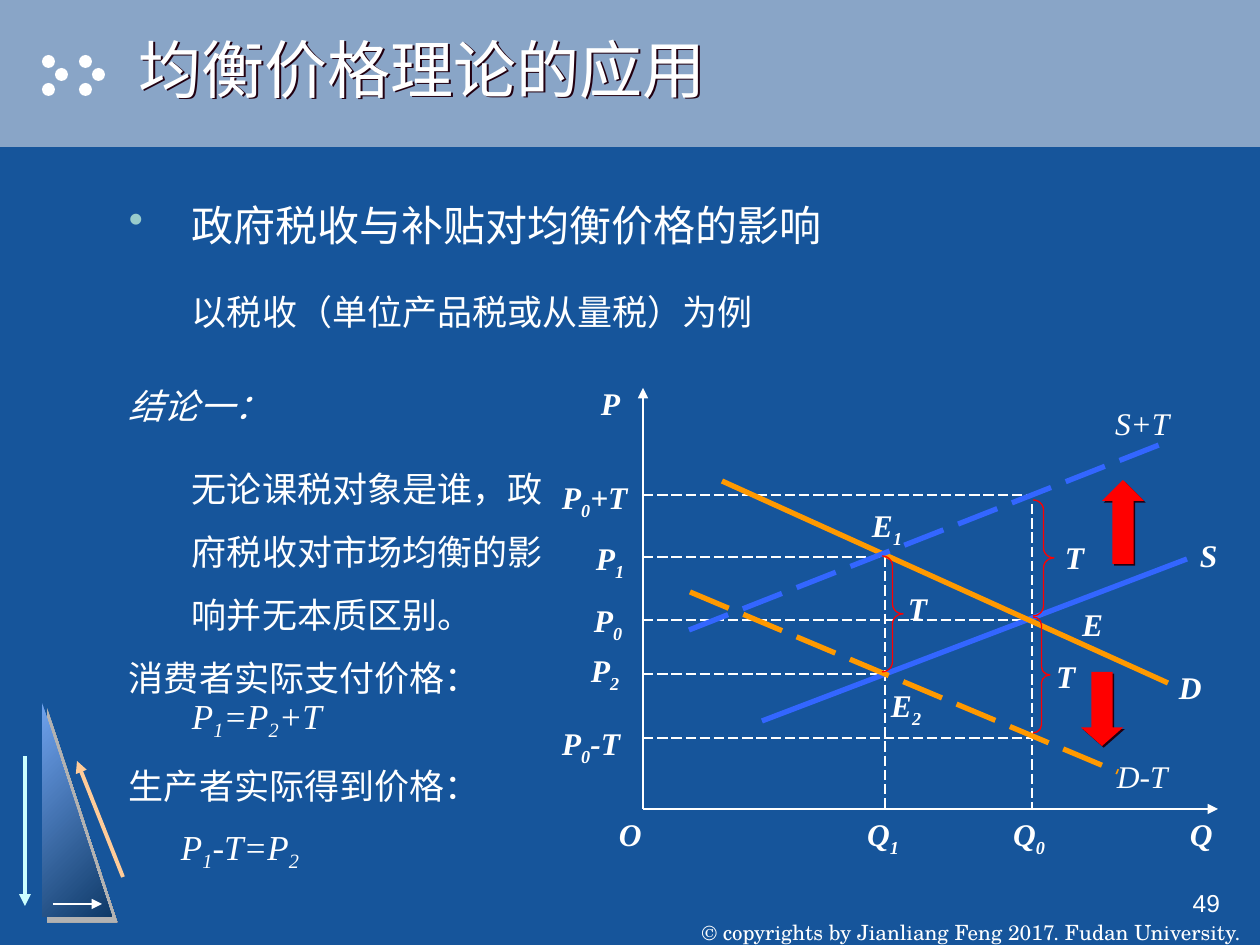
from dataclasses import dataclass
from lxml.etree import SubElement
from pptx import Presentation
from pptx.dml.color import RGBColor
from pptx.enum.dml import MSO_LINE
from pptx.enum.shapes import MSO_CONNECTOR, MSO_SHAPE
from pptx.enum.text import MSO_ANCHOR, PP_ALIGN
from pptx.oxml.ns import qn
from pptx.util import Emu, Pt


@dataclass(frozen=True)
class Theme:
    """Colours, fonts and type sizes of the slide."""
    back: str = "16559B"
    band: str = "89A5C7"
    white: str = "FFFFFF"
    dot: str = "99CCCC"
    blue: str = "3366FF"
    gold: str = "FF9900"
    red: str = "FF0000"
    dark: str = "220011"
    grey: str = "B2B2B2"
    mint: str = "CCFFFF"
    peach: str = "FFCC99"
    light: str = "6FA2ED"
    navy: str = "0F3A68"
    sans: str = "Arial"
    serif: str = "Times New Roman"
    school: str = "TeX Gyre Schola"
    han: str = "Noto Sans CJK SC"
    title: int = 36
    head: int = 24
    body: int = 20
    label: int = 18
    page: int = 14
    foot: int = 12


LOOK = Theme()


def px(num):
    """Turn pixels into EMU."""
    return Emu(round(num * 914400 / 126))


def rgb(code):
    """Turn a hex code into a colour."""
    return RGBColor.from_string(code)


def shade(item, color, dist):
    """Add a hard shadow to a shape."""
    props = item._element.spPr
    cast = SubElement(SubElement(props, qn("a:effectLst")), qn("a:outerShdw"),
                      dist=str(Pt(dist)), dir="2700000", algn="ctr", rotWithShape="0")
    SubElement(cast, qn("a:srgbClr"), val=color)


def shape(slide, kind, box, fill=None, line=None, cast=None, adjust=()):
    """Draw a preset shape."""
    item = slide.shapes.add_shape(kind, *map(px, box))
    for spot, value in enumerate(adjust):
        item.adjustments[spot] = value
    if isinstance(fill, tuple):
        item.fill.gradient()
        item.fill.gradient_angle = 315
        for stop, color in zip(item.fill.gradient_stops, fill):
            stop.color.rgb = rgb(color)
    elif fill:
        item.fill.solid()
        item.fill.fore_color.rgb = rgb(fill)
    else:
        item.fill.background()
    if line:
        item.line.color.rgb = rgb(line)
        item.line.width = Pt(0.75)
    else:
        item.line.fill.background()
    if cast:
        shade(item, *cast)
    else:
        item.shadow.inherit = False


def rule(slide, ends, color=LOOK.white, width=0.75, dash=False, arrow=False):
    """Draw a straight line, with an arrowhead at its end if asked."""
    item = slide.shapes.add_connector(MSO_CONNECTOR.STRAIGHT, *map(px, ends))
    item.line.color.rgb = rgb(color)
    item.line.width = Pt(width)
    if dash:
        item.line.dash_style = MSO_LINE.LONG_DASH
    if arrow:
        SubElement(item.line._get_or_add_ln(), qn("a:tailEnd"), type="triangle")
    SubElement(item._element.spPr, qn("a:effectLst"))


def frame(slide, box, wrap=True, anchor=MSO_ANCHOR.TOP, inset=6, right=13, cast=None):
    """Add an empty text box and return its frame."""
    item = slide.shapes.add_textbox(*map(px, box))
    if cast:
        shade(item, *cast)
    area = item.text_frame
    area.word_wrap = wrap
    area.vertical_anchor = anchor
    area.margin_left, area.margin_right = px(13), px(right)
    area.margin_top, area.margin_bottom = px(inset), px(min(inset, 6))
    return area


def write(area, words, size=LOOK.label, font=LOOK.serif, bold=False, slant=False,
          align=PP_ALIGN.LEFT, left=0, first=0, bullet=None, pitch=None):
    """Write a paragraph; a bar switches italics, an underscore lowers the next sign."""
    fresh = not area.paragraphs[0].runs
    para = area.paragraphs[0] if fresh else area.add_paragraph()
    props = para._p.get_or_add_pPr()
    props.set("marL", str(px(left)))
    props.set("indent", str(px(first)))
    if bullet:
        SubElement(SubElement(props, qn("a:buClr")), qn("a:srgbClr"), val=bullet)
        SubElement(props, qn("a:buChar"), char="•")
    para.alignment = align
    if pitch:
        para.line_spacing = px(pitch)
    if not fresh:
        para.space_before = px(20)
    for turn, part in enumerate(words.split("|")):
        plain, *rest = part.split("_")
        bits = [(plain, False)]
        for bit in rest:
            bits += [(bit[0], True), (bit[1:], False)]
        for bit, low in bits:
            if not bit:
                continue
            run = para.add_run()
            run.text = bit
            run.font.size = Pt(size)
            run.font.bold = bold
            run.font.italic = slant != bool(turn % 2)
            run.font.color.rgb = rgb(LOOK.white)
            run.font.name = font
            mark = run._r.get_or_add_rPr()
            SubElement(mark, qn("a:ea"), typeface=LOOK.han)
            if low:
                mark.set("baseline", "-25000")


def decor(slide):
    """Draw the band, the dots and the corner triangle."""
    shape(slide, MSO_SHAPE.RECTANGLE, (0, 0, 1260, 147), LOOK.band)
    for left in (42, 79):
        for push, top in ((0, 55), (13, 68), (0, 83)):
            shape(slide, MSO_SHAPE.OVAL, (left + push, top, 13, 13), LOOK.white)
    shape(slide, MSO_SHAPE.RIGHT_TRIANGLE, (42, 703, 70, 214),
          (LOOK.light, LOOK.navy), cast=(LOOK.grey, 4.2))
    rule(slide, (25, 756, 25, 906), LOOK.mint, 2.25, arrow=True)
    rule(slide, (123, 877, 77, 761), LOOK.peach, 2.25, arrow=True)
    rule(slide, (53, 904, 102, 904), width=1.5, arrow=True)


def prose(slide):
    """Write the title, the body and the footer."""
    write(frame(slide, (126, 0, 1134, 136), anchor=MSO_ANCHOR.MIDDLE,
                cast=(LOOK.dark, 1.4)),
          "均衡价格理论的应用", LOOK.title, LOOK.sans)
    topic = frame(slide, (116, 168, 1124, 179), inset=7)
    write(topic, "政府税收与补贴对均衡价格的影响", LOOK.head, LOOK.han,
          left=63, first=-63, bullet=LOOK.dot, pitch=75)
    write(topic, "以税收（单位产品税或从量税）为例", LOOK.body, left=63, pitch=63)
    proof = frame(slide, (116, 357, 451, 504), inset=7)
    for words, left, first, pitch in (
            ("|结论一：", 0, 0, 63),
            ("无论课税对象是谁，政府税收对市场均衡的影响并无本质区别。", 63, 0, 63),
            ("消费者实际支付价格：|P_1=P_2+T", 63, -63, 43),
            ("生产者实际得到价格：", 0, 0, 45),
            ("|P_1-T=P_2", 52, 0, 46)):
        write(proof, words, LOOK.body, left=left, first=first, pitch=pitch)
    write(frame(slide, (683, 882, 577, 63), False, MSO_ANCHOR.BOTTOM, 0),
          "© copyrights by Jianliang Feng 2017. Fudan University.",
          LOOK.foot, LOOK.school, align=PP_ALIGN.CENTER)
    write(frame(slide, (977, 882, 256, 63)), "49", LOOK.page, LOOK.sans,
          align=PP_ALIGN.RIGHT)


def graph(slide):
    """Draw the supply and demand diagram."""
    west, south, near, far = 643, 809, 885, 1032
    for ends in ((west, south, west, 388), (west, south, 1218, south)):
        rule(slide, ends, arrow=True)
    for right, top in ((far, 495), (near, 557), (far, 620), (near, 674), (far, 738)):
        rule(slide, (west, top, right, top), dash=True)
    for left, top in ((near, 557), (far, 504)):
        rule(slide, (left, top, left, south), dash=True)
    for ends, color, dash in (
            ((762, 721, 1187, 559), LOOK.blue, False),
            ((1168, 683, 722, 481), LOOK.gold, False),
            ((689, 630, 1159, 445), LOOK.blue, True),
            ((690, 592, 1118, 772), LOOK.gold, True)):
        rule(slide, ends, color, 3, dash)
    for left, top, width in ((882, 556, 21), (1033, 500, 21), (1033, 617, 17)):
        shape(slide, MSO_SHAPE.RIGHT_BRACE, (left, top, width, 116),
              line=LOOK.red, adjust=(0.48, 0.5))
    for kind, box, tip in ((MSO_SHAPE.UP_ARROW, (1102, 480, 42, 84), 0.5),
                           (MSO_SHAPE.DOWN_ARROW, (1081, 672, 42, 74), 0.44)):
        shape(slide, kind, box, LOOK.red, cast=(LOOK.dark, 1.4), adjust=(0.5, tip))
    for words, left, top, width in (
            ("P", 588, 378, 44), ("P_0+T", 549, 472, 91), ("P_1", 583, 533, 53),
            ("P_0", 581, 595, 53), ("P_2", 578, 645, 53), ("P_0-T", 549, 718, 101),
            ("O", 606, 809, 48), ("Q_1", 854, 809, 57), ("Q_0", 1000, 809, 57),
            ("Q", 1177, 809, 48), ("E_1", 859, 500, 55), ("E", 1069, 599, 45),
            ("E_2", 878, 680, 55), ("T", 895, 583, 43), ("T", 1052, 532, 43),
            ("T", 1043, 651, 43), ("S", 1187, 530, 43), ("D", 1166, 662, 48),
            ("S+T", 1102, 398, 84), ("D-T", 1104, 751, 76)):
        box = (left, top, width, 55 if "_" in words else 50)
        write(frame(slide, box, right=0), words,
              bold=words not in ("S+T", "D-T"), slant=True)


def main():
    """Build the slide and save it."""
    deck = Presentation()
    deck.slide_width, deck.slide_height = px(1260), px(945)
    slide = deck.slides.add_slide(deck.slide_layouts[6])
    slide.background.fill.solid()
    slide.background.fill.fore_color.rgb = rgb(LOOK.back)
    decor(slide)
    prose(slide)
    graph(slide)
    deck.save("out.pptx")


if __name__ == "__main__":
    main()
